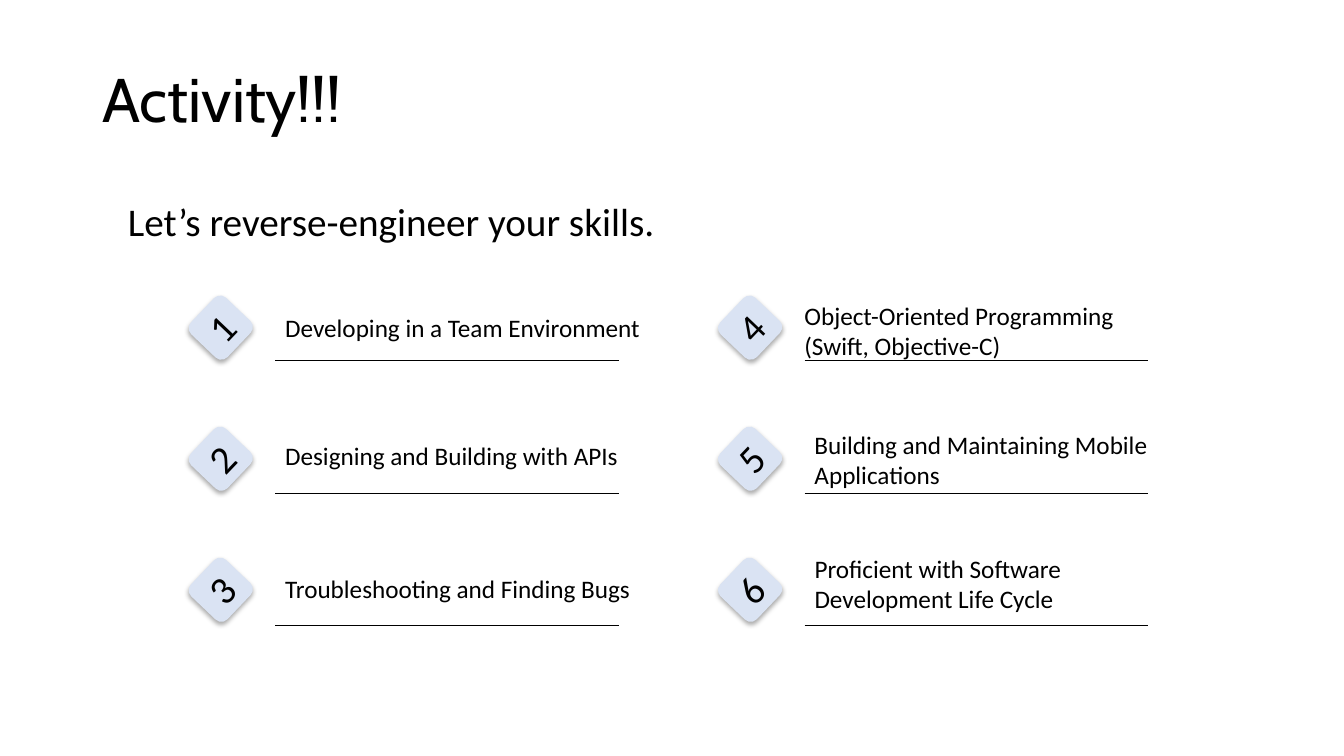
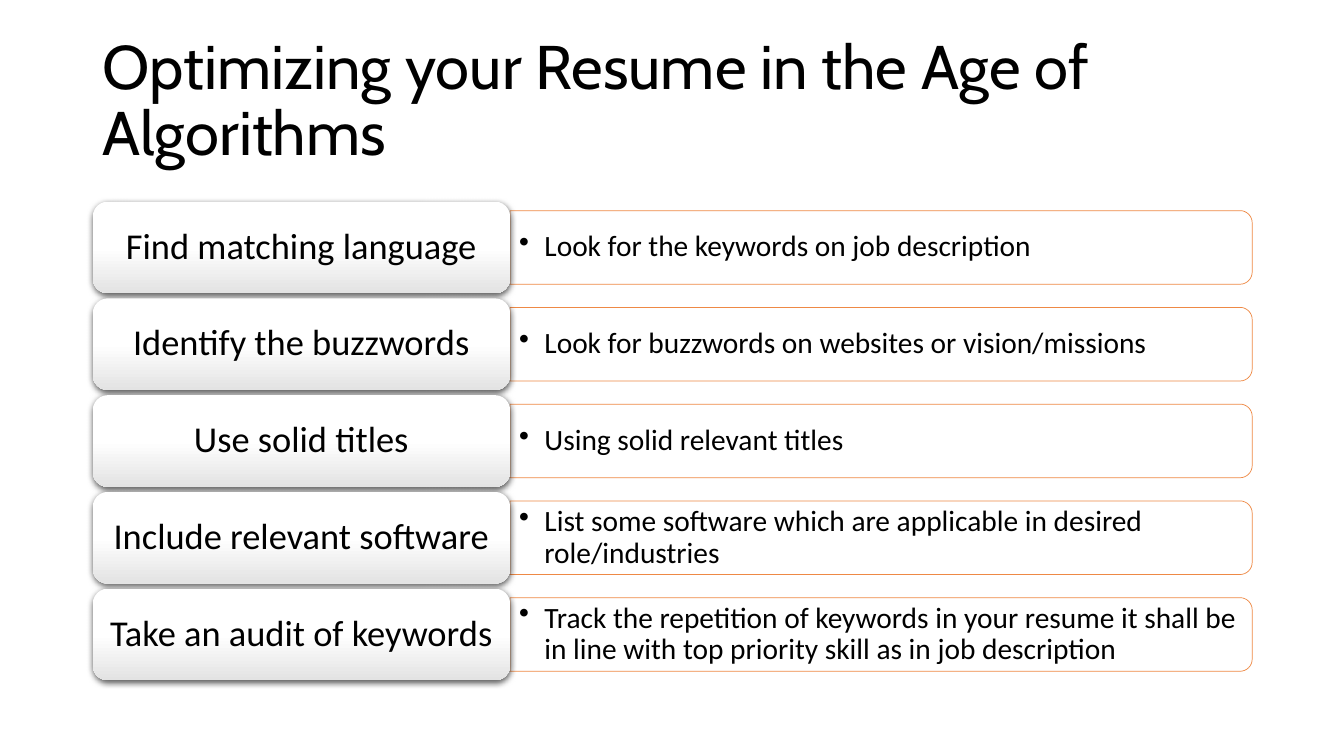
"""Build two career workshop slides: a skills activity and resume advice."""

from dataclasses import dataclass
from math import cos, pi, sin

from lxml import etree
from pptx import Presentation
from pptx.dml.color import RGBColor
from pptx.enum.shapes import MSO_CONNECTOR, MSO_SHAPE
from pptx.enum.text import MSO_ANCHOR, PP_ALIGN
from pptx.oxml.ns import qn
from pptx.shapes.autoshape import Shape
from pptx.slide import Slide
from pptx.text.text import TextFrame, _Paragraph
from pptx.util import Inches, Pt

ROUNDED = MSO_SHAPE.ROUNDED_RECTANGLE
STRAIGHT = MSO_CONNECTOR.STRAIGHT
TOP, MIDDLE = MSO_ANCHOR.TOP, MSO_ANCHOR.MIDDLE
LEFT, CENTER = PP_ALIGN.LEFT, PP_ALIGN.CENTER

COLORS = {
    "text": "000000",
    "paper": "FFFFFF",
    "badge": "DAE3F3",
    "shade": "E3E3E3",
    "outline": "ED7D31",
}
TITLE_FONT, BODY_FONT = "Cabin", "Calibri"
DEFAULT_INSETS = (0.1, 0.05, 0.1, 0.05)

ROWS_PER_COLUMN = 3
COLUMN_STEP = 5.25
BADGE_LEFT, BADGE_TOP, BADGE_SIZE, BADGE_STEP = 1.94, 3.0, 0.5, 1.3
BADGE_ROTATION = 313.6
RULE_LEFT, RULE_TOP, RULE_WIDTH, RULE_STEP = 2.73, 3.58, 3.41, 1.31

TIP_TOP, TIP_STEP = 2.0, 0.96
LABEL_LEFT, LABEL_WIDTH, LABEL_HEIGHT, LABEL_RADIUS = 0.92, 4.14, 0.91, 0.15
DETAIL_LEFT = LABEL_LEFT + LABEL_WIDTH
DETAIL_WIDTH, DETAIL_HEIGHT, DETAIL_RADIUS = 7.36, 0.73, 0.12
ARC_STEPS = 8


@dataclass(frozen=True)
class Skill:
    """A skill and the box that holds its text, in inches."""

    text: str
    left: float
    top: float
    width: float
    height: float


@dataclass(frozen=True)
class Tip:
    """A short heading with its advice."""

    label: str
    detail: str


@dataclass(frozen=True)
class Shadow:
    """A shadow that falls straight down: opacity in percent, lengths in points."""

    opacity: int
    blur: float
    distance: float


BADGE_SHADOW = Shadow(32, 3.5, 2.2)
LABEL_SHADOW = Shadow(63, 4.5, 1.5)

SKILLS = (
    Skill("Developing in a Team Environment", 2.73, 3.05, 3.94, 0.4),
    Skill("Designing and Building with APIs", 2.73, 4.32, 3.6, 0.4),
    Skill("Troubleshooting and Finding Bugs", 2.73, 5.64, 3.75, 0.4),
    Skill("Object-Oriented Programming (Swift, Objective-C)", 7.88, 2.93, 3.86, 0.71),
    Skill("Building and Maintaining Mobile Applications", 7.98, 4.21, 3.6, 0.71),
    Skill("Proficient with Software Development Life Cycle", 7.98, 5.44, 3.78, 0.71),
)

TIPS = (
    Tip("Find matching language", "Look for the keywords on job description"),
    Tip("Identify the buzzwords", "Look for buzzwords on websites or vision/missions"),
    Tip("Use solid titles", "Using solid relevant titles"),
    Tip(
        "Include relevant software",
        "List some software which are applicable in desired role/industries",
    ),
    Tip(
        "Take an audit of keywords",
        "Track the repetition of keywords in your resume it shall be in line "
        "with top priority skill as in job description",
    ),
)


def color(name: str) -> RGBColor:
    """Look up a named colour."""
    return RGBColor.from_string(COLORS[name])


def write_text(
    frame: TextFrame,
    text: str,
    size: float,
    font: str = BODY_FONT,
    alignment: PP_ALIGN = LEFT,
    anchor: MSO_ANCHOR = TOP,
    spacing: float = 1.0,
    insets: tuple[float, float, float, float] = DEFAULT_INSETS,
) -> _Paragraph:
    """Fill a text frame with one styled paragraph."""
    frame.word_wrap = True
    frame.vertical_anchor = anchor
    frame.margin_left, frame.margin_top, frame.margin_right, frame.margin_bottom = (
        Inches(inset) for inset in insets
    )
    paragraph = frame.paragraphs[0]
    paragraph.alignment = alignment
    paragraph.line_spacing = spacing
    run = paragraph.add_run()
    run.text = text
    run.font.name = font
    run.font.size = Pt(size)
    run.font.color.rgb = color("text")
    return paragraph


def add_text_box(
    slide: Slide, left: float, top: float, width: float, height: float
) -> TextFrame:
    """Add a text box and return its frame."""
    box = slide.shapes.add_textbox(
        Inches(left), Inches(top), Inches(width), Inches(height)
    )
    return box.text_frame


def add_title(slide: Slide, text: str, width: float) -> None:
    """Add the slide title."""
    frame = add_text_box(slide, 0.92, 0.29, width, 1.45)
    write_text(frame, text, 44, TITLE_FONT, anchor=MIDDLE, spacing=0.9)


def add_shadow(shape: Shape, shadow: Shadow) -> None:
    """Give a shape a soft black shadow below it."""
    shape.shadow.inherit = False
    effects = shape._element.spPr.find(qn("a:effectLst"))
    outer = etree.SubElement(
        effects,
        qn("a:outerShdw"),
        blurRad=str(Pt(shadow.blur)),
        dist=str(Pt(shadow.distance)),
        dir="5400000",
        algn="ctr",
        rotWithShape="0",
    )
    tone = etree.SubElement(outer, qn("a:srgbClr"), val=COLORS["text"])
    etree.SubElement(tone, qn("a:alpha"), val=str(shadow.opacity * 1000))


def add_badge(slide: Slide, number: int, left: float, top: float) -> None:
    """Add a tilted numbered badge."""
    badge = slide.shapes.add_shape(
        ROUNDED, Inches(left), Inches(top), Inches(BADGE_SIZE), Inches(BADGE_SIZE)
    )
    badge.rotation = BADGE_ROTATION
    badge.fill.solid()
    badge.fill.fore_color.rgb = color("badge")
    badge.line.fill.background()
    add_shadow(badge, BADGE_SHADOW)
    write_text(
        badge.text_frame,
        str(number),
        28,
        alignment=CENTER,
        anchor=MIDDLE,
        insets=(0, 0, 0, 0),
    )


def add_rule(slide: Slide, left: float, top: float) -> None:
    """Add the thin line under a skill."""
    rule = slide.shapes.add_connector(
        STRAIGHT, Inches(left), Inches(top), Inches(left + RULE_WIDTH), Inches(top)
    )
    rule.line.color.rgb = color("text")
    rule.line.width = Pt(0.5)
    etree.SubElement(rule._element.spPr, qn("a:effectLst"))


def add_detail(slide: Slide, text: str, top: float) -> None:
    """Add an outlined panel, rounded on the right, with one bullet."""
    right, bottom = DETAIL_LEFT + DETAIL_WIDTH, top + DETAIL_HEIGHT
    radius = DETAIL_RADIUS
    angles = [pi / 2 * step / ARC_STEPS for step in range(ARC_STEPS + 1)]
    upper = [
        (right - radius + radius * sin(angle), top + radius - radius * cos(angle))
        for angle in angles
    ]
    lower = [(x, top + bottom - y) for x, y in reversed(upper)]
    outline = [*upper, *lower, (DETAIL_LEFT, bottom)]
    builder = slide.shapes.build_freeform(Inches(DETAIL_LEFT), Inches(top))
    builder.add_line_segments([(Inches(x), Inches(y)) for x, y in outline], close=True)
    panel = builder.convert_to_shape()
    panel.shadow.inherit = False
    panel.fill.solid()
    panel.fill.fore_color.rgb = color("paper")
    panel.line.color.rgb = color("outline")
    panel.line.width = Pt(0.5)
    tone = panel.line._ln.find(".//" + qn("a:srgbClr"))
    etree.SubElement(tone, qn("a:alpha"), val="90000")
    paragraph = write_text(
        panel.text_frame,
        text,
        21,
        anchor=MIDDLE,
        spacing=0.9,
        insets=(0.09, 0.08, 0.12, 0.08),
    )
    properties = paragraph._p.get_or_add_pPr()
    properties.set("marL", str(Inches(0.25)))
    properties.set("indent", str(-Inches(0.25)))
    etree.SubElement(properties, qn("a:buChar"), char="•")


def add_label(slide: Slide, text: str, top: float) -> None:
    """Add a shaded heading tile."""
    label = slide.shapes.add_shape(
        ROUNDED,
        Inches(LABEL_LEFT),
        Inches(top),
        Inches(LABEL_WIDTH),
        Inches(LABEL_HEIGHT),
    )
    label.adjustments[0] = LABEL_RADIUS / LABEL_HEIGHT
    label.fill.gradient()
    label.fill.gradient_angle = 270
    start, end = label.fill.gradient_stops
    start.position, end.position = 0.5, 1.0
    start.color.rgb, end.color.rgb = color("paper"), color("shade")
    label.line.fill.background()
    add_shadow(label, LABEL_SHADOW)
    write_text(
        label.text_frame,
        text,
        26,
        alignment=CENTER,
        anchor=MIDDLE,
        spacing=0.9,
        insets=(0.1, 0.06, 0.1, 0.06),
    )


def build_activity(slide: Slide) -> None:
    """Draw the numbered skills in two columns."""
    add_title(slide, "Activity!!!", 11.5)
    intro = add_text_box(slide, 1.17, 1.96, 11.5, 0.6)
    write_text(intro, "Let’s reverse-engineer your skills.", 28, spacing=0.9)
    for index, skill in enumerate(SKILLS):
        column, row = divmod(index, ROWS_PER_COLUMN)
        shift = column * COLUMN_STEP
        add_badge(slide, index + 1, BADGE_LEFT + shift, BADGE_TOP + row * BADGE_STEP)
        add_rule(slide, RULE_LEFT + shift, RULE_TOP + row * RULE_STEP)
        frame = add_text_box(slide, skill.left, skill.top, skill.width, skill.height)
        write_text(frame, skill.text, 18)


def build_tips(slide: Slide) -> None:
    """Draw the resume tips as rows of label and detail."""
    add_title(slide, "Optimizing your Resume in the Age of Algorithms", 12)
    for index, tip in enumerate(TIPS):
        top = TIP_TOP + index * TIP_STEP
        add_detail(slide, tip.detail, top + (LABEL_HEIGHT - DETAIL_HEIGHT) / 2)
        add_label(slide, tip.label, top)


def main() -> None:
    """Build and save the presentation."""
    presentation = Presentation()
    presentation.slide_width, presentation.slide_height = Inches(13.33), Inches(7.5)
    blank = presentation.slide_layouts[6]
    for build in (build_activity, build_tips):
        build(presentation.slides.add_slide(blank))
    presentation.save("out.pptx")


if __name__ == "__main__":
    main()
